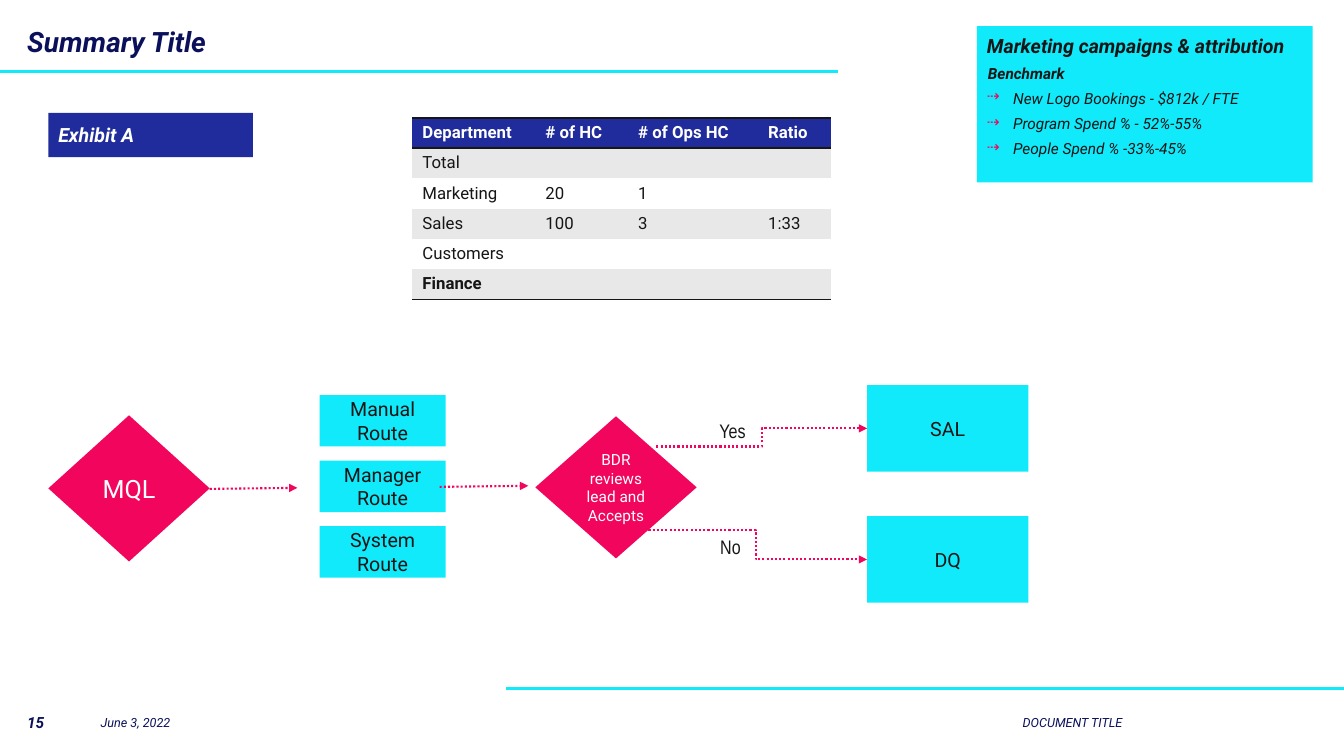
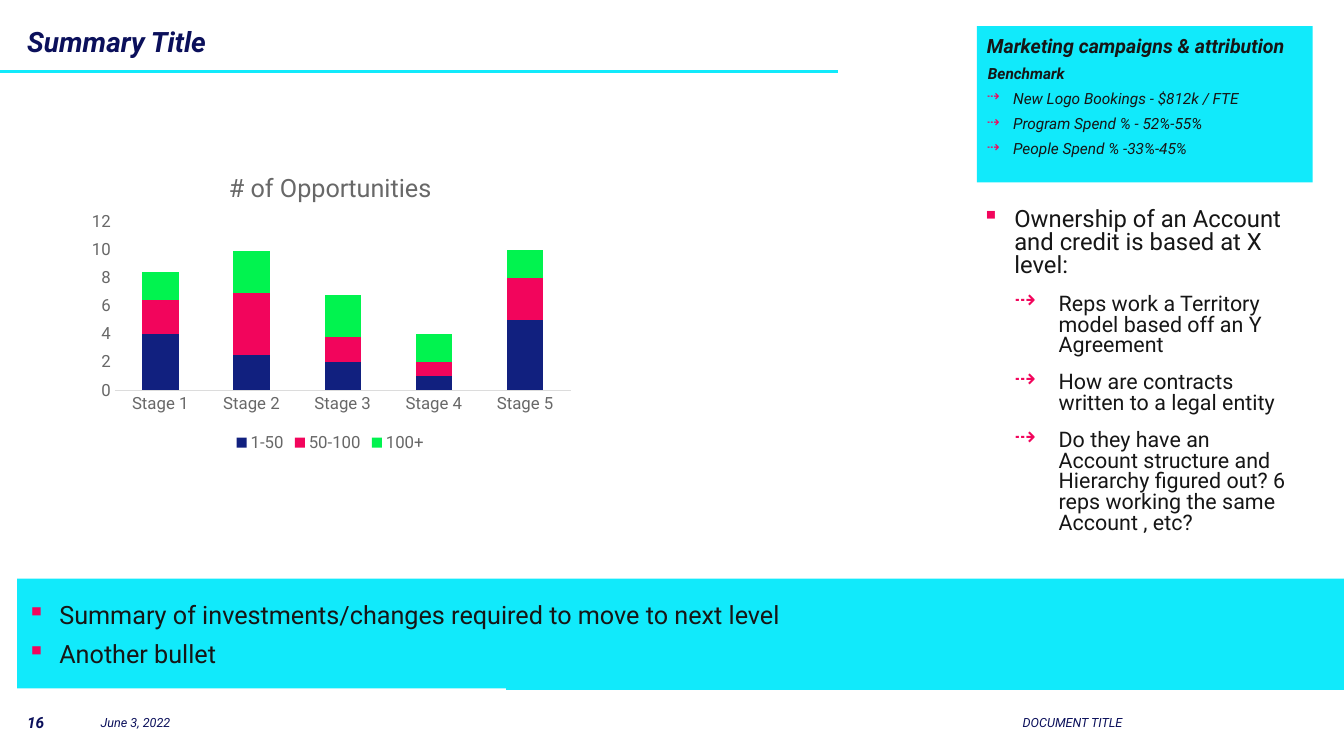
from dataclasses import dataclass, replace

from lxml import etree
from pptx import Presentation
from pptx.chart.data import CategoryChartData
from pptx.dml.color import RGBColor
from pptx.enum.chart import XL_CHART_TYPE, XL_LEGEND_POSITION, XL_TICK_MARK
from pptx.enum.dml import MSO_LINE
from pptx.enum.shapes import MSO_CONNECTOR, MSO_SHAPE
from pptx.enum.text import MSO_ANCHOR, MSO_AUTO_SIZE, PP_ALIGN
from pptx.oxml.ns import qn
from pptx.util import Inches, Pt

LEFT, CENTER, RIGHT = PP_ALIGN.LEFT, PP_ALIGN.CENTER, PP_ALIGN.RIGHT
TOP, MIDDLE, BOTTOM = MSO_ANCHOR.TOP, MSO_ANCHOR.MIDDLE, MSO_ANCHOR.BOTTOM
RECTANGLE, DIAMOND = MSO_SHAPE.RECTANGLE, MSO_SHAPE.DIAMOND
STRAIGHT, ELBOW = MSO_CONNECTOR.STRAIGHT, MSO_CONNECTOR.ELBOW
DOTTED = MSO_LINE.ROUND_DOT
NO_TICKS = XL_TICK_MARK.NONE
PLAIN_TABLE = "{2D5ABB26-0587-4C30-8999-92F81FD0307C}"
DEFAULT_INSETS = (0.1, 0.05, 0.1, 0.05)


@dataclass(frozen=True)
class Theme:
    font: str = "Roboto"
    narrow: str = "Arial Narrow"
    navy: str = "0B105B"
    blue: str = "202C9B"
    cyan: str = "11EAFB"
    pink: str = "F2055C"
    ink: str = "161616"
    white: str = "FFFFFF"
    band: str = "E8E8E8"
    gray: str = "686868"
    axis: str = "DCDCDC"
    series: tuple = ("11207F", "F2055C", "01F34F")
    title: float = 20
    large: float = 18
    lead: float = 17
    detail: float = 15.3
    body: float = 14
    table: float = 12
    small: float = 11
    footer: float = 9


THEME = Theme()


@dataclass(frozen=True)
class Style:
    size: float = THEME.body
    color: str = THEME.ink
    font: str = THEME.font
    bold: bool = False
    italic: bool = False
    align: PP_ALIGN = LEFT
    level: int = 0
    margin: float = 0
    hanging: float = 0
    bullet: str = ""
    bullet_percent: int = 100
    line: float = 1.0
    before: float = 0
    after: float = 0


TITLE = Style(THEME.title, THEME.navy, bold=True, italic=True, line=0.8)
FOOTER = Style(THEME.footer, THEME.navy, italic=True)
PAGE_NUMBER = replace(FOOTER, size=THEME.small, bold=True)
CARD_HEADING = Style(bold=True, italic=True, line=0.9, after=6)
CARD_LABEL = replace(CARD_HEADING, size=THEME.small, level=1, margin=0.01)
CARD_ITEM = replace(CARD_LABEL, bold=False, level=2, margin=0.26, hanging=0.26, bullet="⇢")
EXHIBIT = Style(color=THEME.white, bold=True, italic=True)
NODE = Style(align=CENTER)
START = replace(NODE, size=THEME.large, color=THEME.white)
DECISION = replace(START, size=THEME.small)
BRANCH = replace(NODE, font=THEME.narrow)
NOTE = Style(THEME.lead, margin=0.32, hanging=0.32, bullet="▪", line=0.8, before=6, after=6)
NOTE_ITEM = replace(NOTE, size=THEME.detail, level=1, margin=0.76, hanging=0.44,
                    bullet="⇢", bullet_percent=120)
SUMMARY = Style(THEME.large, margin=0.32, hanging=0.32, bullet="▪", before=3, after=3)
HEADER_CELL = Style(THEME.table, THEME.white, bold=True)
BODY_CELL = Style(THEME.table)


def rgb(color):
    return RGBColor.from_string(color)


def inches(*lengths):
    return [Inches(length) for length in lengths]


def add_color(parent, color):
    etree.SubElement(parent, qn("a:srgbClr"), val=color)


def format_font(font, size, color, name=THEME.font, bold=False, italic=False):
    font.size, font.name, font.bold, font.italic = Pt(size), name, bold, italic
    font.color.rgb = rgb(color)


def format_para(para, style, first=True):
    para.level = style.level
    para.alignment = style.align
    para.line_spacing = style.line
    para.space_before = Pt(0 if first else style.before)
    para.space_after = Pt(style.after)
    properties = para._p.get_or_add_pPr()
    properties.set("marL", str(Inches(style.margin)))
    properties.set("indent", str(-Inches(style.hanging)))
    if style.bullet:
        add_color(etree.SubElement(properties, qn("a:buClr")), THEME.pink)
        etree.SubElement(properties, qn("a:buSzPct"), val=str(style.bullet_percent * 1000))
        etree.SubElement(properties, qn("a:buChar"), char=style.bullet)
    format_font(para.font, style.size, style.color, style.font, style.bold, style.italic)


def write(shape, items, anchor=TOP, insets=DEFAULT_INSETS):
    frame = shape.text_frame
    frame.word_wrap = True
    frame.auto_size = MSO_AUTO_SIZE.NONE
    frame.vertical_anchor = anchor
    (frame.margin_left, frame.margin_top,
     frame.margin_right, frame.margin_bottom) = inches(*insets)
    for index, (text, style) in enumerate(items):
        para = frame.add_paragraph() if index else frame.paragraphs[0]
        para.add_run().text = text
        format_para(para, style, index == 0)


def add_text(page, box, items, anchor=TOP, insets=DEFAULT_INSETS):
    write(page.shapes.add_textbox(*inches(*box)), items, anchor, insets)


def add_block(page, box, fill, items, kind=RECTANGLE, anchor=MIDDLE, insets=DEFAULT_INSETS):
    shape = page.shapes.add_shape(kind, *inches(*box))
    shape.shadow.inherit = False
    shape.fill.solid()
    shape.fill.fore_color.rgb = rgb(fill)
    shape.line.fill.background()
    write(shape, items, anchor, insets)


def add_line(page, start, end, color, width, kind=STRAIGHT):
    line = page.shapes.add_connector(kind, *inches(*start, *end))
    line.line.color.rgb = rgb(color)
    line.line.width = Pt(width)
    etree.SubElement(line._element.spPr, qn("a:effectLst"))
    return line


def add_arrow(page, start, end, kind=STRAIGHT):
    arrow = add_line(page, start, end, THEME.pink, 1.5, kind)
    arrow.line.dash_style = DOTTED
    etree.SubElement(arrow.line._get_or_add_ln(), qn("a:tailEnd"), type="triangle")


def add_page(deck, title, number):
    page = deck.slides.add_slide(deck.slide_layouts[5])
    heading = page.shapes.title
    heading.left, heading.top, heading.width, heading.height = inches(0.17, 0.26, 8.4, 0.3)
    write(heading, [(title, TITLE)])
    for left, right, top in ((0, 8.31, 0.71), (5.02, 13.33, 6.83)):
        add_line(page, (left, top), (right, top), THEME.cyan, 2.25)
    for text, left, width, style in (
        ("June 3, 2022", 0.9, 2.36, FOOTER),
        ("DOCUMENT TITLE", 5.02, 6.21, replace(FOOTER, align=RIGHT)),
        (str(number), 0.17, 0.53, PAGE_NUMBER),
    ):
        add_text(page, (left, 7.02, width, 0.3), [(text, style)], MIDDLE)
    add_benchmark_card(page, (9.69, 0.26, 3.33, 1.55))
    return page


def add_benchmark_card(page, box):
    items = ("New Logo Bookings - $812k / FTE", "Program Spend % - 52%-55%",
             "People Spend % -33%-45%")
    add_block(page, box, THEME.cyan,
              [("Marketing campaigns & attribution", CARD_HEADING), ("Benchmark", CARD_LABEL)]
              + [(item, CARD_ITEM) for item in items],
              anchor=TOP, insets=(0.1,) * 4)


def add_border(cell, side, width):
    border = etree.SubElement(cell._tc.get_or_add_tcPr(), qn(f"a:{side}"), w=str(Pt(width)))
    add_color(etree.SubElement(border, qn("a:solidFill")), THEME.ink)


def add_headcount_table(page, box):
    rows = (
        ("Department", "# of HC", "# of Ops HC", "Ratio"),
        ("Total", "", "", ""),
        ("Marketing", "20", "1", ""),
        ("Sales", "100", "3", "1:33"),
        ("Customers", "", "", ""),
        ("Finance", "", "", ""),
    )
    last = len(rows) - 1
    table = page.shapes.add_table(len(rows), len(rows[0]), *inches(*box)).table
    table.first_row = table.horz_banding = False
    table._tbl.tblPr.find(qn("a:tableStyleId")).text = PLAIN_TABLE
    for column, width in zip(table.columns, (1.22, 0.92, 1.29, 0.72)):
        column.width = Inches(width)
    for row, texts in enumerate(rows):
        style = replace(HEADER_CELL if row == 0 else BODY_CELL, bold=row in (0, last))
        fill = THEME.blue if row == 0 else THEME.band if row % 2 else THEME.white
        for column, text in enumerate(texts):
            cell = table.cell(row, column)
            if row == 0:
                add_border(cell, "lnT", 2)
            if row in (0, last):
                add_border(cell, "lnB", 1 if row else 2)
            cell.fill.solid()
            cell.fill.fore_color.rgb = rgb(fill)
            cell.text = text
            para = cell.text_frame.paragraphs[0]
            format_para(para, style)
            if not text:
                etree.SubElement(para._p, qn("a:endParaRPr"), sz=str(style.size * 100))


def add_lead_flow(page, left, top):
    def place(x, y, *size):
        return (left + x, top + y, *size)

    add_block(page, place(0, 0.3, 1.6, 1.45), THEME.pink, [("MQL", START)], DIAMOND)
    for index, name in enumerate(("Manual", "Manager", "System")):
        add_block(page, place(2.69, 0.1 + 0.65 * index, 1.25, 0.51), THEME.cyan,
                  [(f"{name} Route", NODE)])
    add_block(page, place(4.83, 0.31, 1.6, 1.41), THEME.pink,
              [("BDR reviews lead and Accepts", DECISION)], DIAMOND)
    for index, name in enumerate(("SAL", "DQ")):
        add_block(page, place(8.12, 1.3 * index, 1.6, 0.86), THEME.cyan, [(name, NODE)])
    for start, end, kind in (
        ((1.6, 1.03), (2.47, 1.02), STRAIGHT),
        ((3.88, 1.01), (4.76, 1), STRAIGHT),
        ((6.03, 0.61), (8.12, 0.43), ELBOW),
        ((5.91, 1.44), (8.12, 1.73), ELBOW),
    ):
        add_arrow(page, place(*start), place(*end), kind)
    for text, x, y in (("Yes", 6.05, 0.29), ("No", 6.03, 1.44)):
        add_text(page, place(x, y, 1.47, 0.34), [(text, BRANCH)])


def add_opportunity_chart(page, box):
    data = CategoryChartData()
    data.categories = [f"Stage {number}" for number in range(1, 6)]
    data.add_series("1-50", (4, 2.5, 2, 1, 5))
    data.add_series("50-100", (2.4, 4.4, 1.8, 1, 3))
    data.add_series("100+", (2, 3, 3, 2, 2))
    chart = page.shapes.add_chart(XL_CHART_TYPE.COLUMN_STACKED, *inches(*box), data).chart
    format_font(chart.font, THEME.table, THEME.gray)
    chart.has_title = True
    para = chart.chart_title.text_frame.paragraphs[0]
    para.add_run().text = "# of Opportunities"
    format_font(para.font, THEME.large, THEME.gray)
    chart.chart_title.include_in_layout = False
    chart.has_legend = True
    chart.legend.position = XL_LEGEND_POSITION.BOTTOM
    chart.legend.include_in_layout = False
    for axis in (chart.category_axis, chart.value_axis):
        axis.major_tick_mark = axis.minor_tick_mark = NO_TICKS
        axis.has_major_gridlines = False
        format_font(axis.tick_labels.font, THEME.table, THEME.gray)
    chart.category_axis.format.line.color.rgb = rgb(THEME.axis)
    chart.category_axis.format.line.width = Pt(0.75)
    chart.value_axis.format.line.fill.background()
    chart.value_axis.minimum_scale, chart.value_axis.maximum_scale = 0, 12
    chart.value_axis.major_unit = 2
    plot = chart.plots[0]
    plot.gap_width, plot.overlap, plot.vary_by_categories = 150, 100, False
    for series, color in zip(plot.series, THEME.series):
        series.format.fill.solid()
        series.format.fill.fore_color.rgb = rgb(color)
    set_plot_box(chart, x=0.07, y=0.22, w=0.91, h=0.56)


def set_plot_box(chart, **box):
    area = chart._chartSpace.chart.plotArea
    for layout in area.findall(qn("c:layout")):
        area.remove(layout)
    layout = etree.Element(qn("c:layout"))
    area.insert(0, layout)
    manual = etree.SubElement(layout, qn("c:manualLayout"))
    etree.SubElement(manual, qn("c:layoutTarget"), val="inner")
    for side in "xy":
        etree.SubElement(manual, qn(f"c:{side}Mode"), val="edge")
    for name, value in box.items():
        etree.SubElement(manual, qn(f"c:{name}"), val=str(value))


def add_ownership_notes(page, box):
    items = (
        "Reps work a Territory model based off an Y Agreement",
        "How are contracts written to a legal entity",
        "Do they have an Account structure and Hierarchy figured out? "
        "6 reps working the same Account , etc?",
    )
    add_text(page, box,
             [("Ownership of an Account and credit is based at X level:", NOTE)]
             + [(item, NOTE_ITEM) for item in items], insets=(0.05,) * 4)


def add_summary_band(page, box):
    items = ("Summary of investments/changes required to move to next level", "Another bullet")
    add_block(page, box, THEME.cyan, [(item, SUMMARY) for item in items],
              anchor=BOTTOM, insets=(0.1, 0.2, 0.1, 0.2))


def build_process_page(deck):
    page = add_page(deck, "Summary Title", 15)
    add_block(page, (0.48, 1.12, 2.03, 0.44), THEME.blue, [("Exhibit A", EXHIBIT)])
    add_lead_flow(page, 0.48, 3.82)
    add_headcount_table(page, (4.09, 1.17, 4.15, 1.8))


def build_opportunity_page(deck):
    page = add_page(deck, "Summary Title", 16)
    add_ownership_notes(page, (9.69, 2.03, 3.13, 3.52))
    add_summary_band(page, (0.17, 5.74, 13.17, 1.09))
    add_opportunity_chart(page, (0.79, 1.54, 4.97, 2.99))


def main():
    deck = Presentation()
    deck.slide_width, deck.slide_height = inches(13.33, 7.5)
    build_process_page(deck)
    build_opportunity_page(deck)
    deck.save("out.pptx")


if __name__ == "__main__":
    main()
